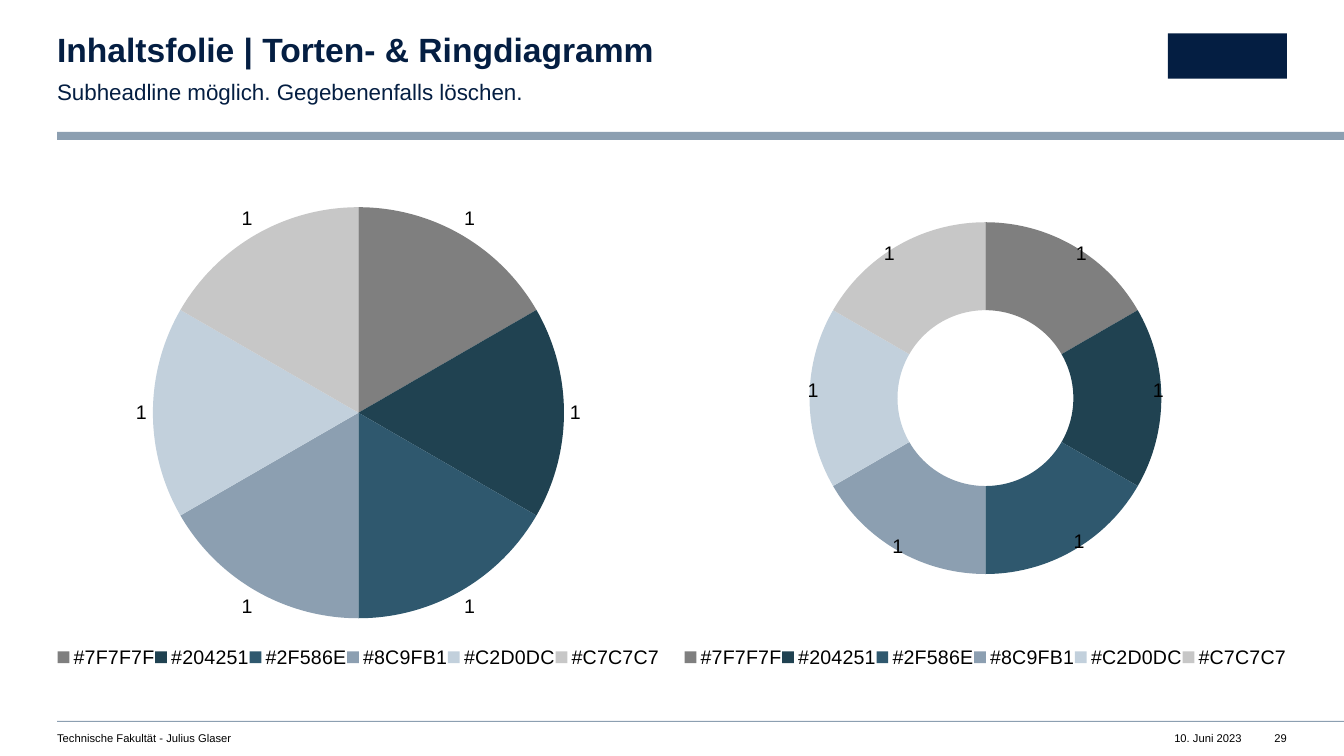
"""Build a slide that sets a pie chart beside a doughnut chart."""
from dataclasses import dataclass

from lxml import etree
from pptx import Presentation
from pptx import util as u
from pptx.chart import data
from pptx.dml import color
from pptx.enum import chart as ch
from pptx.enum import shapes, text
from pptx.oxml import ns

WIDE, HIGH = u.Inches(13.333), u.Inches(7.5)
LEFT, RIGHT = 4.25, 95.75
HALF = 44.85
FOOT = 96.8
NAVY, STEEL, BLACK = "041E42", "8C9FB1", "000000"
TONES = ["7F7F7F", "204251", "2F586E", "8C9FB1", "C2D0DC", "C7C7C7"]


@dataclass
class Box:
    """Place in percent of the width and height of slide or chart."""
    x: float
    y: float
    w: float
    h: float

    def emu(self) -> tuple:
        """Return left, top, width and height in slide units."""
        return (u.Emu(round(self.x * WIDE / 100)), u.Emu(round(self.y * HIGH / 100)),
                u.Emu(round(self.w * WIDE / 100)), u.Emu(round(self.h * HIGH / 100)))


@dataclass
class Note:
    """One line of text with its place and look."""
    words: str
    box: Box
    size: int = 8
    tone: str = BLACK
    bold: bool = False
    right: bool = False
    lead: float = 1.0
    inset: float = 0


@dataclass
class Pie:
    """One round chart."""
    kind: ch.XL_CHART_TYPE
    x: float


BARS = [
    (Box(LEFT, 17.45, RIGHT, 1.07), STEEL),
    (Box(LEFT, 95.35, RIGHT, 0.14), STEEL),
    (Box(86.9, 4.4, 8.85, 6), NAVY),
]
TITLE = Note("Inhaltsfolie | Torten- & Ringdiagramm", Box(LEFT, 4.4, 56.2, 4.8),
             24, NAVY, bold=True, lead=0.9)
SUB = Note("Subheadline möglich. Gegebenenfalls löschen.", Box(LEFT, 10, 56.2, 3.6),
           16, NAVY, lead=1.1, inset=0.39)
NOTES = [
    Note("Technische Fakultät - Julius Glaser", Box(LEFT, FOOT, HALF, 1.7)),
    Note("10. Juni 2023", Box(85.4, FOOT, 7, 1.7), right=True),
    Note("29", Box(94.15, FOOT, 1.6, 1.7), right=True),
]
PIES = [
    Pie(ch.XL_CHART_TYPE.PIE, LEFT),
    Pie(ch.XL_CHART_TYPE.DOUGHNUT, RIGHT - HALF),
]
PLOT = Box(20.8, 8.5, 58.4, 69.8)
KEY = Box(0, 91.3, 100, 7)
SHIFTS = [(5, -6), (6.8, -1.4), (4.6, 5.8), (-3.6, 6.9), (-6.7, -1.4), (-5, -6)]


def rgb(code: str) -> color.RGBColor:
    """Turn a hex string into a colour."""
    return color.RGBColor.from_string(code)


def style(font, size: int, tone: str = BLACK, bold: bool = False) -> None:
    """Set face, size, colour and weight of a font."""
    font.name, font.size, font.bold = "Arial", u.Pt(size), bold
    font.color.rgb = rgb(tone)


def bar(slide, box: Box, tone: str) -> None:
    """Draw a plain filled rectangle."""
    rect = slide.shapes.add_shape(shapes.MSO_SHAPE.RECTANGLE, *box.emu())
    rect.shadow.inherit = False
    rect.fill.solid()
    rect.fill.fore_color.rgb = rgb(tone)
    rect.line.fill.background()


def write(shape, note: Note) -> None:
    """Place a text shape and write its note."""
    shape.left, shape.top, shape.width, shape.height = note.box.emu()
    frame = shape.text_frame
    frame.margin_left = frame.margin_top = frame.margin_bottom = 0
    frame.margin_right = u.Inches(note.inset)
    frame.auto_size = text.MSO_AUTO_SIZE.NONE
    frame.vertical_anchor = text.MSO_ANCHOR.TOP
    frame.word_wrap = True
    para = frame.paragraphs[0]
    para.alignment = text.PP_ALIGN.RIGHT if note.right else text.PP_ALIGN.LEFT
    para.line_spacing, para.space_before = note.lead, u.Pt(0)
    run = para.add_run()
    run.text = note.words
    style(run.font, note.size, note.tone, note.bold)


def plain(shape) -> None:
    """Take bullet and indent from a body placeholder."""
    prop = shape.text_frame.paragraphs[0]._p.get_or_add_pPr()
    prop.set("marL", "0")
    prop.set("indent", "0")
    etree.SubElement(prop, ns.qn("a:buNone"))


def lay(node, spot: int, parts: dict) -> None:
    """Give a chart node a manual layout, with lengths in percent."""
    for old in node.findall(ns.qn("c:layout")):
        node.remove(old)
    outer = etree.Element(ns.qn("c:layout"))
    inner = etree.SubElement(outer, ns.qn("c:manualLayout"))
    for tag, val in parts.items():
        val = val if isinstance(val, str) else f"{val / 100:.3f}"
        etree.SubElement(inner, ns.qn(f"c:{tag}")).set("val", val)
    node.insert(spot, outer)


def edge(box: Box) -> dict:
    """Describe a box measured from the chart's edges."""
    return {"xMode": "edge", "yMode": "edge",
            "x": box.x, "y": box.y, "w": box.w, "h": box.h}


def ring(chart) -> None:
    """Fix hole, plot area and label places of the doughnut."""
    root = chart.element
    area = next(root.iter(ns.qn("c:plotArea")))
    lay(area, 0, {"layoutTarget": "inner", **edge(PLOT)})
    next(root.iter(ns.qn("c:holeSize"))).set("val", "80")
    row = chart.plots[0].series[0]
    for i in range(len(TONES)):
        style(row.points[i].data_label.font, 14)
    for node, (x, y) in zip(root.iter(ns.qn("c:dLbl")), SHIFTS):
        lay(node, 1, {"x": x, "y": y})


def draw(slide, pie: Pie) -> None:
    """Add one chart with legend, slice colours and labels."""
    table = data.CategoryChartData()
    table.categories = [f"#{tone}" for tone in TONES]
    table.add_series("Series 1", [1] * len(TONES))
    box = Box(pie.x, 23.73, HALF, 66.67)
    chart = slide.shapes.add_chart(pie.kind, *box.emu(), table).chart
    style(chart.font, 10)
    chart.has_title = False
    chart.has_legend = True
    chart.legend.position = ch.XL_LEGEND_POSITION.BOTTOM
    chart.legend.include_in_layout = False
    style(chart.legend.font, 14)
    lay(next(chart.element.iter(ns.qn("c:legend"))), 1, edge(KEY))
    row = chart.plots[0].series[0]
    for i, tone in enumerate(TONES):
        fill = row.points[i].format.fill
        fill.solid()
        fill.fore_color.rgb = rgb(tone)
    tags = row.data_labels
    tags.show_value = True
    style(tags.font, 14)
    if pie.kind == ch.XL_CHART_TYPE.PIE:
        tags.position = ch.XL_LABEL_POSITION.OUTSIDE_END
    else:
        ring(chart)


def main() -> None:
    """Build and save the slide."""
    deck = Presentation()
    deck.slide_width, deck.slide_height = WIDE, HIGH
    slide = deck.slides.add_slide(deck.slide_layouts[1])
    for box, tone in BARS:
        bar(slide, box, tone)
    write(slide.shapes.title, TITLE)
    body = slide.placeholders[1]
    write(body, SUB)
    plain(body)
    for note in NOTES:
        write(slide.shapes.add_textbox(*note.box.emu()), note)
    for pie in PIES:
        draw(slide, pie)
    deck.save("out.pptx")


if __name__ == "__main__":
    main()
